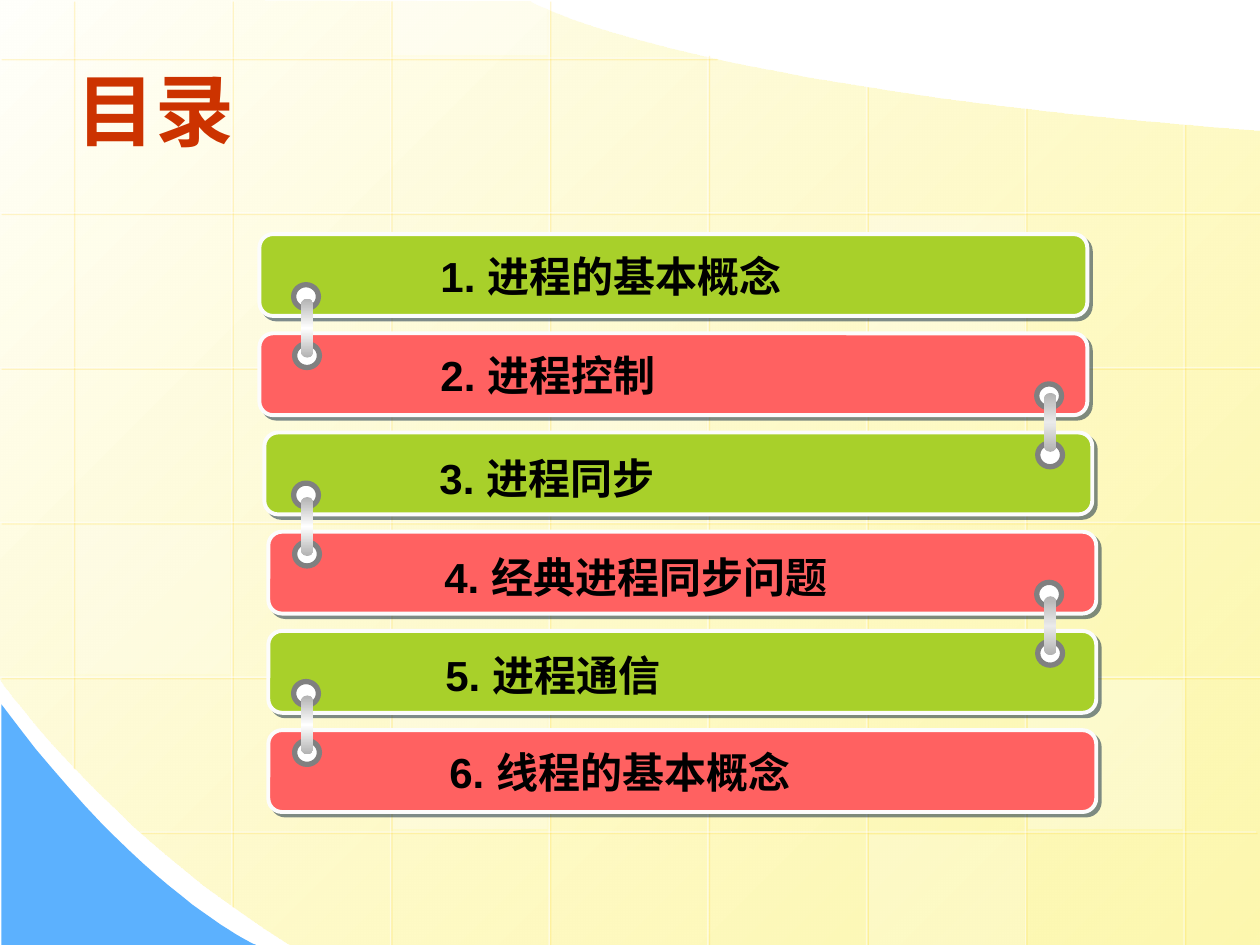
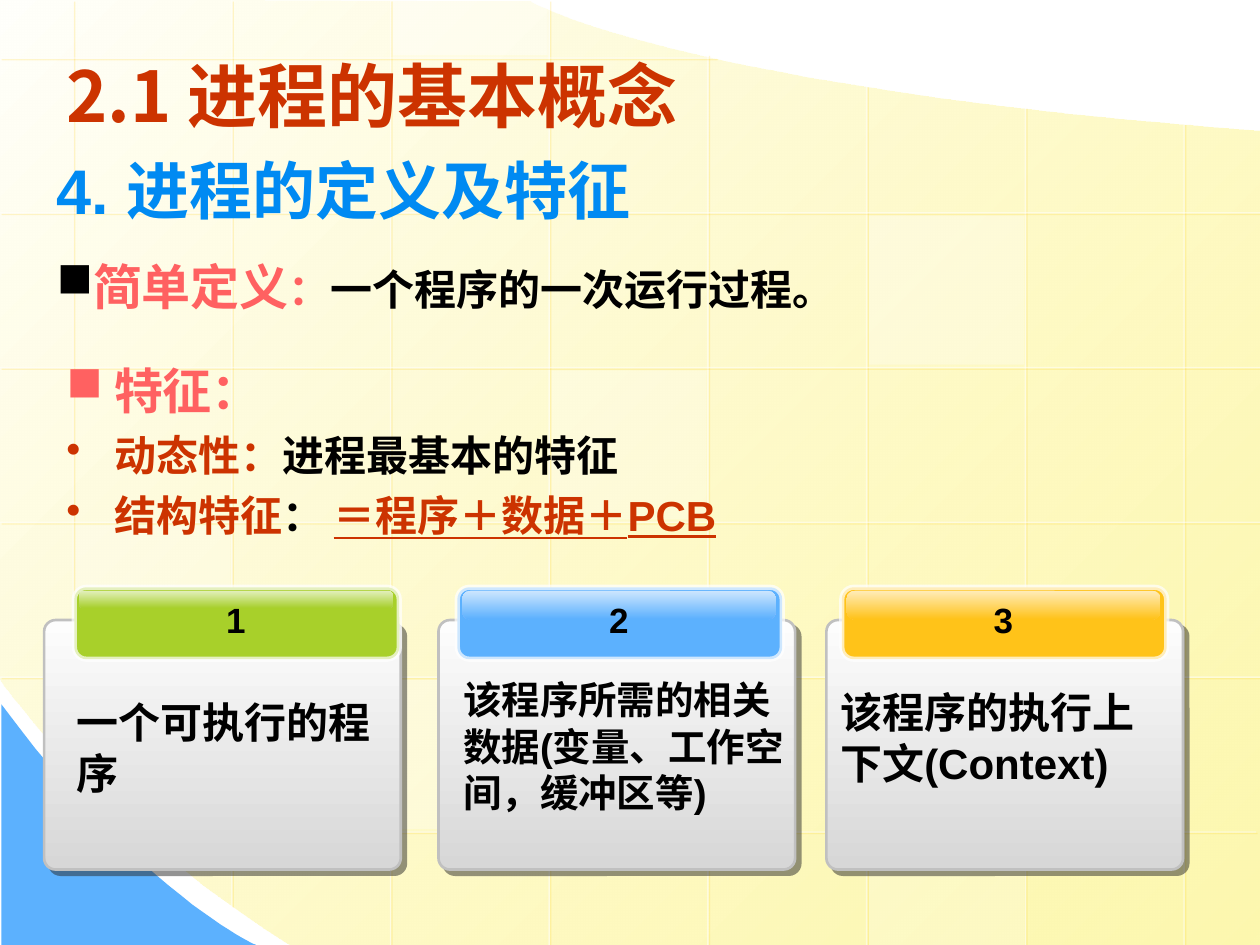
from lxml import etree
from pptx import Presentation, util as u
from pptx.dml.color import RGBColor
from pptx.enum import shapes, text
from pptx.oxml.ns import qn

COLORS = dict(
    white="FFFFFF", black="000000", title="CC3300", heading="008AF2", coral="FF6161",
    green="A8D02A", blue="5CB1FE", amber="FFC319", gold="FFCC00", cream="FFFFFB",
    straw="FDF58D", edge="FCFCFC", navy="001D3A", ring="808080", steel="B2B2B2",
    silver="EAEAEA", paper="FDFDFD", fog="D7D7D7", rim="C0C0C0", soot="292929",
    text_shadow="808080")
CJK = "Noto Sans CJK SC"
WIDTH, HEIGHT = 25.4, 19.05
OVAL, RECT, ROUND = (shapes.MSO_SHAPE.OVAL, shapes.MSO_SHAPE.RECTANGLE,
                     shapes.MSO_SHAPE.ROUNDED_RECTANGLE)

# Lengths are centimetres. A six-number curve step is a cubic Bezier.
FIELD = [(25.4, 2.64), (25.4, 19.05), (5.84, 19.05),
         (2.18, 16.79, -0.03, 13.69, 0, 13.69), (-0.03, -0.03), (10.69, 0.03),
         (10.69, 0.03, 13.64, 1.75, 25.4, 2.64)]
CORNER = [(0.03, 14.2), (0.03, 19.05), (5.16, 19.05), (5.16, 19.05, 2.84, 18.01, 0.03, 14.2)]
COLUMN_SPANS = [(0, 15.47), (0, 18.26), (0, 19.05), (0, 19.1), (1.09, 19.1),
                (1.73, 19.1), (2.16, 19.1), (2.49, 19.1)]
ROW_SPANS = [(0, 14.43)] + [(0, 25.4)] * 4 + [(2.82, 25.32)]
TINTED_CELLS = [(3, 2, 25), (6, 4, 30), (0, 3, 20), (5, 5, 20), (2, -1, 40), (2, 4, 30),
                (5, 1, 30)]  # column, row, opacity

CHAPTERS = [  # text, bar left, text left, text drop
    ("1. 进程的基本概念", 5.23, 7.39, 0.2),
    ("2. 进程控制", 5.23, 7.39, 0.2),
    ("3. 进程同步", 5.33, 7.37, 0.28),
    ("4. 经典进程同步问题", 5.41, 7.47, 0.28),
    ("5. 进程通信", 5.41, 7.49, 0.25),
    ("6. 线程的基本概念", 5.41, 7.57, 0.2)]

DEFINITION = [
    dict(spans=[("4. 进程的定义及特征", dict(size=36, color="heading"))],
         margin=0.64, indent=-0.64),
    dict(spans=[("简单定义", dict(size=28, color="coral")), ("：", dict(color="coral")),
                ("一个程序的一次运行过程。", {})],
         margin=0.64, indent=-0.64, before=16.8, bullet="■", bullet_color="black")]
FEATURES = [
    dict(spans=[("特征：", dict(size=28, color="coral"))], bullet="■"),
    dict(spans=[("动态性：", dict(color="title")), ("进程最基本的特征", {})],
         bullet="•", before=5.8),
    dict(spans=[("结构特征", dict(color="title")), ("： ", {}),
                ("＝程序＋数据＋PCB", dict(color="title", font="Arial", underline=True))],
         bullet="•", before=5.8)]
CARDS = [  # text, size, colour, card left, tab left, gloss height, text left, text top
    ("一个可执行的程序", 24, "green", 0.89, 1.5, 0.36, 1.3, 13.92),
    ("该程序所需的相关数据(变量、工作空间，缓冲区等)", 22, "blue", 8.84, 9.22, 0.58, 9.09, 13.51),
    ("该程序的执行上下文(Context)", 24, "amber", 16.66, 16.97, 0.58, 16.69, 13.72)]


def rgb(name):
    return RGBColor.from_string(COLORS[name])


def add(parent, tag, **attributes):
    return etree.SubElement(parent, qn(tag), {k: str(v) for k, v in attributes.items()})


def add_color(parent, name, opacity=100):
    color = add(parent, "a:srgbClr", val=COLORS[name])
    if opacity < 100:
        add(color, "a:alpha", val=opacity * 1000)


def set_opacity(element, opacity):
    if opacity < 100:
        add(next(element.iter(qn("a:srgbClr"))), "a:alpha", val=opacity * 1000)


def add_shadow(effects, color, opacity, distance):
    shadow = add(effects, "a:outerShdw", dist=u.Pt(distance), dir=45 * 60000, algn="ctr",
                 rotWithShape=0)
    add_color(shadow, color, opacity)


def set_line(item, color, width, opacity=100):
    item.line.color.rgb = rgb(color)
    item.line.width = u.Pt(width)
    set_opacity(item.element.spPr.find(qn("a:ln")), opacity)


def style(shape, fill, opacity=100, angle=90, line=None, shadow=None):
    """Fill with one colour name, or with a list of (position, colour, opacity) stops."""
    properties = shape.element.spPr
    if isinstance(fill, str):
        shape.fill.solid()
        shape.fill.fore_color.rgb = rgb(fill)
        set_opacity(properties.find(qn("a:solidFill")), opacity)
    else:
        shape.fill.gradient()
        shape.fill.gradient_angle = 360 - angle
        stops = next(properties.iter(qn("a:gsLst")))
        for stop in list(stops):
            stops.remove(stop)
        for position, color, stop_opacity in fill:
            add_color(add(stops, "a:gs", pos=position * 1000), color, stop_opacity)
    if line:
        set_line(shape, *line)
    else:
        shape.line.fill.background()
    shape.shadow.inherit = False
    if shadow:
        add_shadow(properties.find(qn("a:effectLst")), *shadow)


def add_shape(page, kind, left, top, width, height, fill, corner=None, **look):
    shape = page.shapes.add_shape(kind, *map(u.Cm, (left, top, width, height)))
    if corner is not None:
        shape.adjustments[0] = corner
    style(shape, fill, **look)


def add_curve(page, steps, fill, **look):
    points = [steps[0]]
    for step in steps[1:]:
        if len(step) == 2:
            points.append(step)
            continue
        corners = [points[-1], step[:2], step[2:4], step[4:]]
        for t in (i / 24 for i in range(1, 25)):
            weights = ((1 - t) ** 3, 3 * t * (1 - t) ** 2, 3 * t * t * (1 - t), t ** 3)
            points.append(tuple(sum(w * c[axis] for w, c in zip(weights, corners))
                                for axis in (0, 1)))
    points = [(round(x * 100), round(y * 100)) for x, y in points]
    builder = page.shapes.build_freeform(*points[0], scale=u.Cm(0.01))
    builder.add_line_segments(points[1:], close=True)
    style(builder.convert_to_shape(), fill, **look)


def add_grid_line(page, *ends):
    line = page.shapes.add_connector(shapes.MSO_CONNECTOR.STRAIGHT, *map(u.Cm, ends))
    set_line(line, "white", 0.75, 50)
    add_shadow(add(line.element.spPr, "a:effectLst"), "gold", 34, 1.4)


def add_span(para, words, size=24, color="black", font="Arial", underline=None, shadow=False):
    span = para.add_run()
    span.text = words
    span.font.size = u.Pt(size)
    span.font.bold = True
    span.font.underline = underline
    span.font.color.rgb = rgb(color)
    properties = span.font._element
    if shadow:
        add_shadow(add(properties, "a:effectLst"), shadow, 60, 1.5)
    span.font.name = font
    add(properties, "a:ea", typeface=CJK)


def add_text(page, content, left, top, width, height, anchor=text.MSO_ANCHOR.TOP,
             align=None, wrap=True, margin=0, indent=0, **span_format):
    """Write a string, or a list of paragraphs made of formatted spans."""
    box = page.shapes.add_textbox(*map(u.Cm, (left, top, width, height)))
    frame = box.text_frame
    frame.word_wrap = wrap
    frame.vertical_anchor = anchor
    if isinstance(content, str):
        content = [dict(spans=[(content, {})])]
    for i, item in enumerate(content):
        para = frame.add_paragraph() if i else frame.paragraphs[0]
        para.alignment = align
        properties = para._p.get_or_add_pPr()
        properties.set("marL", str(u.Cm(item.get("margin", margin))))
        properties.set("indent", str(u.Cm(item.get("indent", indent))))
        if "bullet" in item:
            if "bullet_color" in item:
                add_color(add(properties, "a:buClr"), item["bullet_color"])
            add(properties, "a:buChar", char=item["bullet"])
        if "before" in item:
            para.space_before = u.Pt(item["before"])
        for words, extra in item["spans"]:
            add_span(para, words, **{**span_format, **extra})


def add_page(deck, title, left, height, **title_format):
    page = deck.slides.add_slide(deck.slide_layouts[6])
    add_curve(page, FIELD, [(0, "cream", 100), (100, "straw", 70)], angle=45)
    add_curve(page, CORNER, "blue")
    column_x = lambda column: 1.47 + 3.2 * column
    row_y = lambda row: 1.17 + 3.12 * row
    for column, (start, end) in enumerate(COLUMN_SPANS):
        add_grid_line(page, column_x(column), start, column_x(column), end)
    for row, (start, end) in enumerate(ROW_SPANS):
        add_grid_line(page, end, row_y(row), start, row_y(row))
    for column, row, opacity in TINTED_CELLS:
        top = row_y(row) + 0.06
        bottom = min(HEIGHT, top + 3)
        top = max(0, top)
        add_shape(page, RECT, column_x(column) + 0.05, top, 3.12, bottom - top, "white",
                  opacity=opacity)
    add_text(page, title, left, 0.91, 22.86, height, anchor=text.MSO_ANCHOR.MIDDLE,
             color="title", **title_format)
    return page


def add_link(page, left, top, rod_drop, middle):
    """Join two bars with a rod between two rings."""
    for ring_left, ring_top in ((left, top), (left + 0.02, top + 1.19)):
        add_shape(page, OVAL, ring_left, ring_top, 0.5, 0.48, "white", line=("ring", 3))
    add_shape(page, ROUND, left + 0.15, top + rod_drop, 0.25, 1.19, corner=0.5,
              fill=[(0, "steel", 100), (50, middle, 100), (100, "steel", 100)])


def build_contents(deck):
    page = add_page(deck, "目录", 1.3, 2.57, size=45)
    pitch = 2.0
    for i, (chapter, bar_left, text_left, drop) in enumerate(CHAPTERS):
        top = 4.72 + pitch * i
        add_shape(page, ROUND, bar_left, top, 16.69, 1.65, ("green", "coral")[i % 2],
                  corner=0.167, line=("edge", 2.25), shadow=("navy", 50, 2.8))
        add_text(page, chapter, text_left, top + drop, 12.52, 1.27, margin=1.27,
                 indent=-0.03, shadow="text_shadow")
    for i in range(len(CHAPTERS) - 1):
        left, middle = ((5.92, "white"), (20.9, "silver"))[i % 2]
        add_link(page, left, 5.74 + pitch * i, 0.18 if i == 1 else 0.28, middle)


def build_definition(deck):
    page = add_page(deck, "2.1 进程的基本概念", 1.09, 2.01, size=40, font=CJK, shadow="white")
    add_text(page, DEFINITION, 0.89, 2.92, 23.01, 3.56)
    add_text(page, FEATURES, 1.09, 7.14, 23.01, 3.81, margin=0.96, indent=-0.96, font=CJK)
    for number, card in enumerate(CARDS, 1):
        words, size, color, card_left, tab_left, gloss, text_left, text_top = card
        add_shape(page, ROUND, card_left, 12.5, 7.19, 5.03, corner=0.046,
                  fill=[(0, "paper", 100), (100, "fog", 100)],
                  line=("rim", 1.5), shadow=("soot", 50, 4.2))
        add_shape(page, ROUND, tab_left, 11.84, 6.55, 1.45, color, corner=0.167,
                  line=("white", 3, 69))
        add_shape(page, ROUND, tab_left + 0.1, 11.91, 6.32, gloss, corner=0.284,
                  fill=[(0, "white", 70), (100, color, 70)])
        add_text(page, str(number), tab_left + 2.8, 11.94, 0.91, 1.09, size=20, wrap=False,
                 align=text.PP_ALIGN.CENTER)
        add_text(page, words, text_left, text_top, 6.96, 2.29, size=size)


def main():
    deck = Presentation()
    deck.slide_width, deck.slide_height = u.Cm(WIDTH), u.Cm(HEIGHT)
    build_contents(deck)
    build_definition(deck)
    deck.save("out.pptx")


if __name__ == "__main__":
    main()
